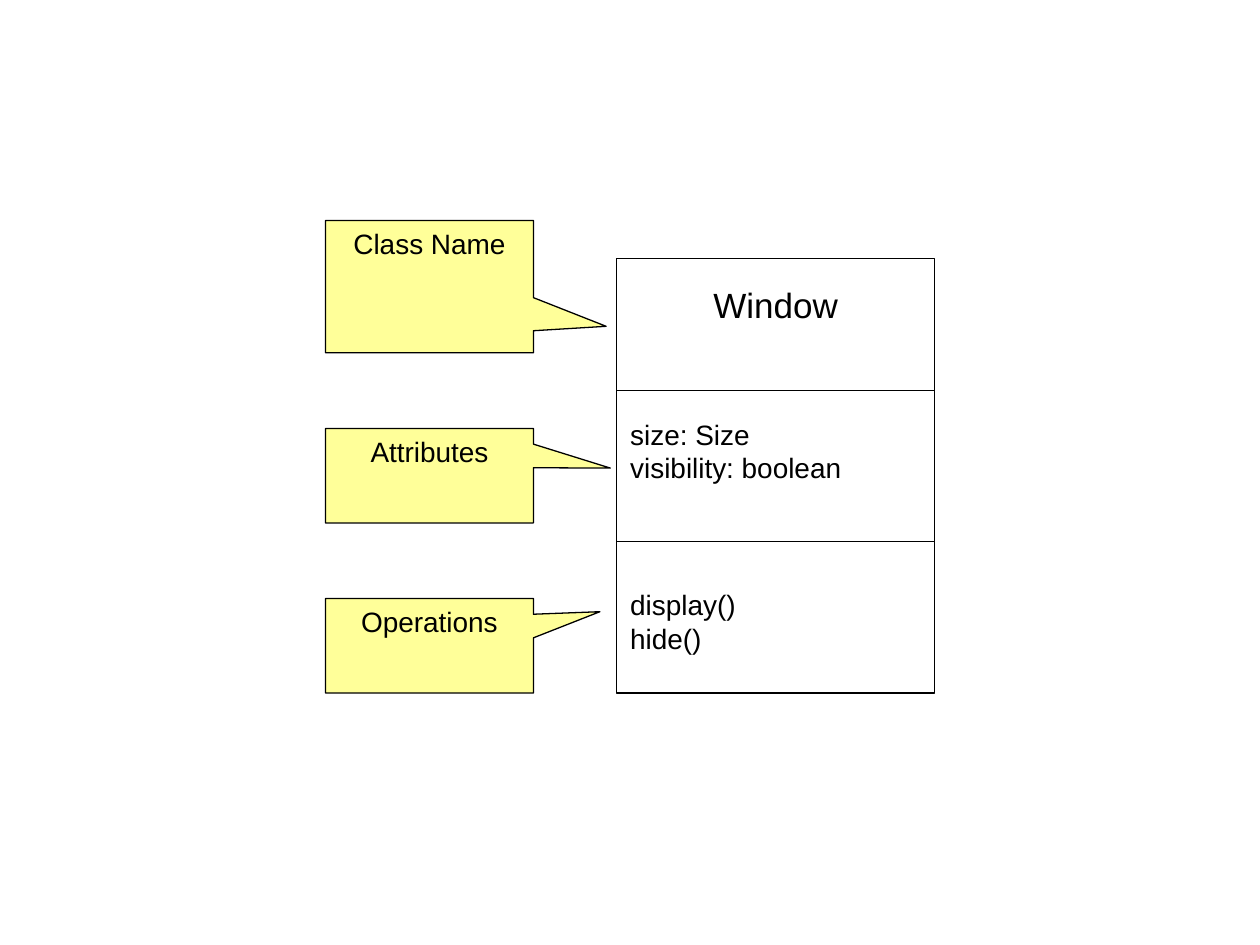
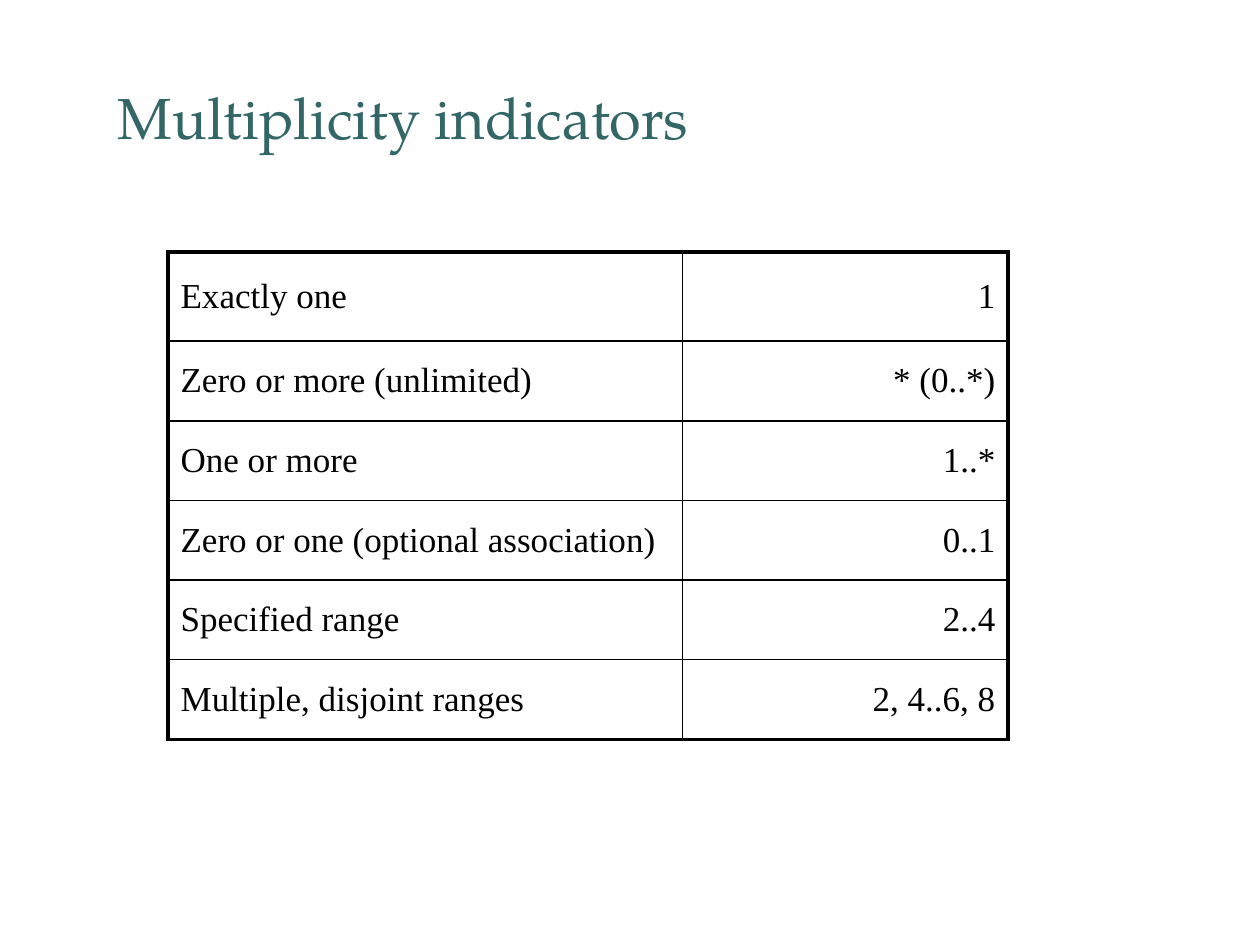
from typing import NamedTuple

from lxml.etree import SubElement
from pptx import Presentation
from pptx.dml.color import RGBColor
from pptx.enum.shapes import MSO_CONNECTOR, MSO_SHAPE
from pptx.enum.text import MSO_ANCHOR, MSO_AUTO_SIZE, PP_ALIGN
from pptx.oxml.ns import qn
from pptx.util import Pt

COLORS = {"ink": "000000", "title": "336666", "note": "FFFF99"}
SANS, SERIF, DISPLAY = "Arial", "Times New Roman", "TeX Gyre Pagella"
THIN, THICK, HAIRLINE = 1, 2.25, 0.75


class Box(NamedTuple):
    x: float
    y: float
    w: float
    h: float

    def points(self):
        return [Pt(v) for v in self]


# height of compartment, text, text size, alignment, anchor, inset, text top, text height
COMPARTMENTS = [
    (75.6, "Window", 20, PP_ALIGN.CENTER, MSO_ANCHOR.TOP, None, 10.8, 56.2),
    (86.4, "size: Size\vvisibility: boolean", 16, PP_ALIGN.LEFT, MSO_ANCHOR.MIDDLE, 0, 0, 69.1),
    (86.4, "display()\vhide()", 16, PP_ALIGN.LEFT, MSO_ANCHOR.MIDDLE, 0, 10.8, 69.1),
]
# text, top, height, pointer tip
CALLOUTS = [
    ("Class Name", 0, 75.6, (0.85, 0.3)),
    ("Attributes", 118.8, 54, (0.87, -0.08)),
    ("Operations", 216, 54, (0.82, -0.36)),
]
MULTIPLICITIES = [
    ("Exactly one", "1"),
    ("Zero or more (unlimited)", "* (0..*)"),
    ("One or more", "1..*"),
    ("Zero or one (optional association)", "0..1"),
    ("Specified range", "2..4"),
    ("Multiple, disjoint ranges", "2, 4..6, 8"),
]


def rgb(name):
    return RGBColor.from_string(COLORS[name])


def write(tf, text, size, font, align=PP_ALIGN.LEFT, color="ink"):
    p = tf.paragraphs[0]
    p.text = text
    p.alignment = align
    p.font.size = Pt(size)
    p.font.name = font
    p.font.color.rgb = rgb(color)


def outline(line):
    line.color.rgb = rgb("ink")
    line.width = Pt(HAIRLINE)


def add_outlined(shapes, kind, box, fill=None):
    sp = shapes.add_shape(kind, *box.points())
    sp.shadow.inherit = False
    if fill:
        sp.fill.solid()
        sp.fill.fore_color.rgb = rgb(fill)
    else:
        sp.fill.background()
    outline(sp.line)
    return sp


def add_divider(shapes, x, y, w):
    line = shapes.add_connector(MSO_CONNECTOR.STRAIGHT, Pt(x), Pt(y), Pt(x + w), Pt(y))
    outline(line.line)
    SubElement(line._element.spPr, qn("a:effectLst"))


def add_class_box(shapes, box, margin=7.9):
    add_outlined(shapes, MSO_SHAPE.RECTANGLE, box)
    y = box.y
    for height, text, size, align, anchor, inset, text_top, text_height in COMPARTMENTS:
        if y > box.y:
            add_divider(shapes, box.x, y, box.w)
        text_box = Box(box.x + margin, y + text_top, box.w - 2 * margin, text_height)
        tf = shapes.add_textbox(*text_box.points()).text_frame
        tf.word_wrap = True
        tf.vertical_anchor = anchor
        if inset is not None:
            tf.margin_left = tf.margin_right = tf.margin_top = tf.margin_bottom = Pt(inset)
        write(tf, text, size, SANS, align)
        y += height


def add_callouts(shapes, box):
    for text, top, height, tip in CALLOUTS:
        note_box = Box(box.x, box.y + top, box.w, height)
        sp = add_outlined(shapes, MSO_SHAPE.RECTANGULAR_CALLOUT, note_box, "note")
        sp.adjustments[0], sp.adjustments[1] = tip
        tf = sp.text_frame
        tf.word_wrap = True
        tf.vertical_anchor = MSO_ANCHOR.TOP
        write(tf, text, 16, SANS, PP_ALIGN.CENTER)


def set_borders(cell, widths):
    """Draw the left, right, top and bottom edges, ahead of the cell's fill."""
    tc_pr = cell._tc.get_or_add_tcPr()
    for i, (edge, width) in enumerate(zip(("lnL", "lnR", "lnT", "lnB"), widths)):
        ln = SubElement(tc_pr, qn(f"a:{edge}"), w=str(Pt(width)))
        fill = SubElement(ln, qn("a:solidFill"))
        SubElement(fill, qn("a:srgbClr"), val=COLORS["ink"])
        tc_pr.insert(i, ln)


def add_title(slide, text, box):
    title = slide.shapes.title
    title.left, title.top, title.width, title.height = box.points()
    tf = title.text_frame
    tf.auto_size = MSO_AUTO_SIZE.NONE
    tf.vertical_anchor = MSO_ANCHOR.BOTTOM
    write(tf, text, 33, DISPLAY, color="title")


def add_multiplicity_table(shapes, box, label_width=294, first_height=51):
    last_row = len(MULTIPLICITIES) - 1
    table = shapes.add_table(last_row + 1, 2, *box.points()).table
    table.first_row = table.horz_banding = False
    table.columns[0].width = Pt(label_width)
    table.columns[1].width = Pt(box.w - label_width)
    row_height = (box.h - first_height) / last_row
    for r, entry in enumerate(MULTIPLICITIES):
        table.rows[r].height = Pt(row_height if r else first_height)
        for c, text in enumerate(entry):
            cell = table.cell(r, c)
            cell.fill.background()
            cell.vertical_anchor = MSO_ANCHOR.MIDDLE
            write(cell.text_frame, text, 20, SERIF, PP_ALIGN.RIGHT if c else PP_ALIGN.LEFT)
            outer = (c == 0, c == 1, r == 0, r == last_row)
            set_borders(cell, [THICK if edge else THIN for edge in outer])


def build_class_slide(prs):
    slide = prs.slides.add_slide(prs.slide_layouts[6])
    shapes = slide.shapes.add_group_shape().shapes
    add_class_box(shapes, Box(352.2, 147.6, 182, 248.4))
    add_callouts(shapes, Box(186, 126, 118.8, 270))


def build_multiplicity_slide(prs):
    slide = prs.slides.add_slide(prs.slide_layouts[5])
    add_title(slide, "Multiplicity indicators", Box(60, 0, 606, 90))
    add_multiplicity_table(slide.shapes, Box(96, 144, 480, 278.5))


def main():
    prs = Presentation()
    prs.slide_width, prs.slide_height = Pt(720), Pt(540)
    build_class_slide(prs)
    build_multiplicity_slide(prs)
    prs.save("out.pptx")


if __name__ == "__main__":
    main()
